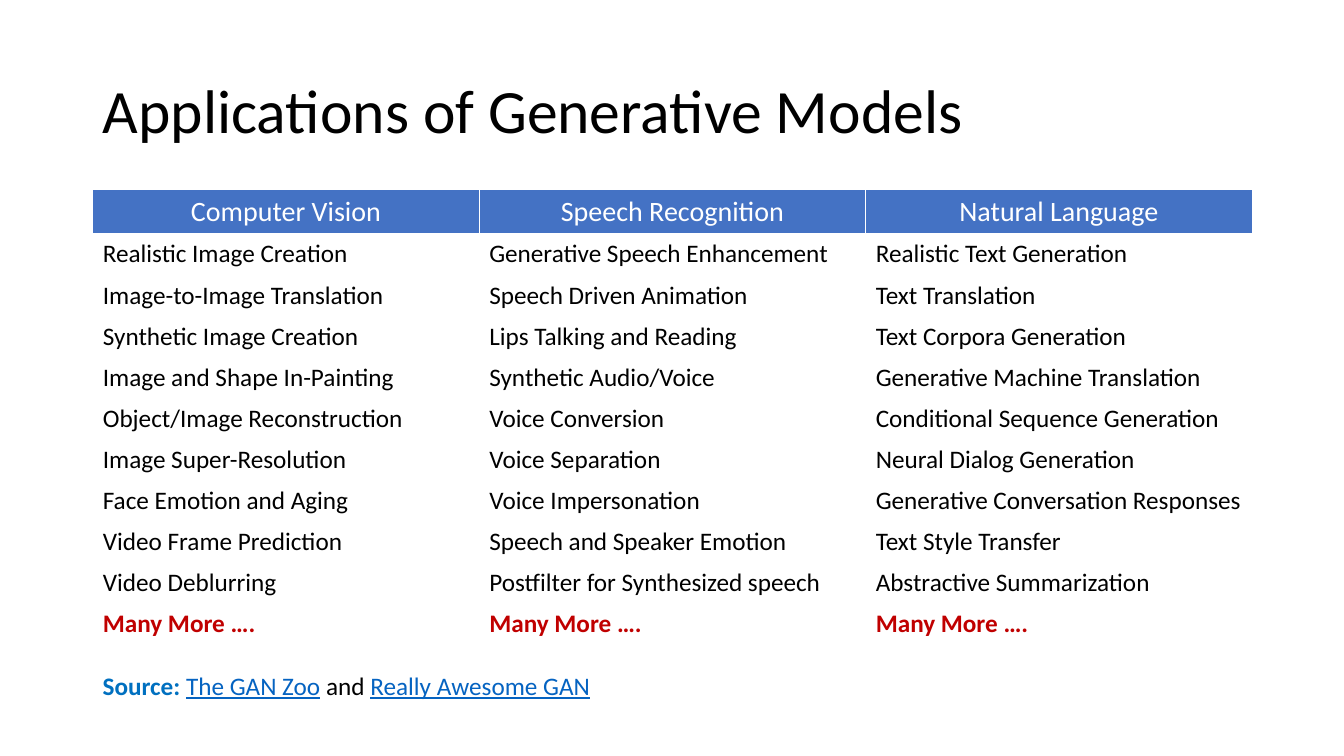
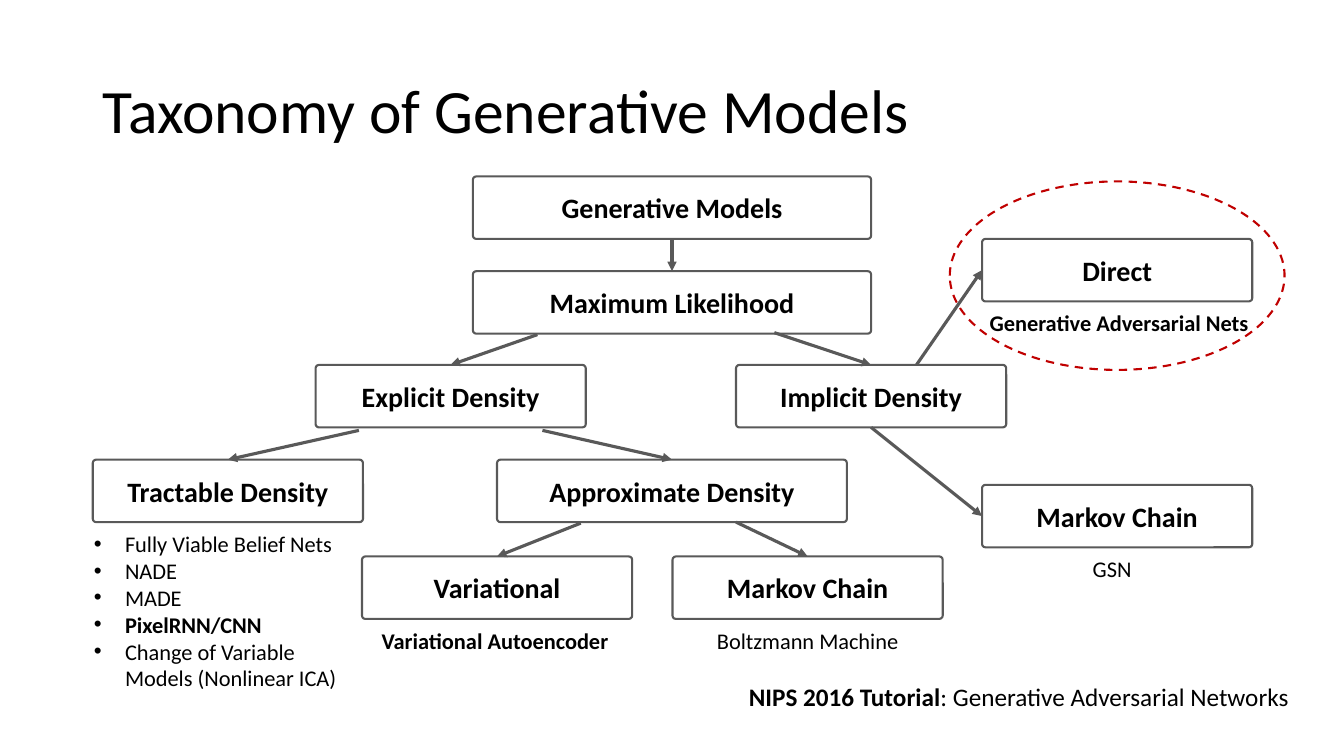
from dataclasses import dataclass

from lxml import etree
from pptx import Presentation
from pptx import util as u
from pptx.dml.color import RGBColor
from pptx.enum import dml, shapes, text
from pptx.oxml.ns import qn


@dataclass(frozen=True)
class Theme:
    """Colours, type face and type sizes shared by all slides."""
    face: str = "Calibri"
    ink: str = "000000"
    paper: str = "FFFFFF"
    band: str = "4472C4"
    edge: str = "595959"
    red: str = "C00000"
    blue: str = "0070C0"
    link: str = "0563C1"
    title: int = 44
    head: int = 20
    body: int = 18
    small: int = 16


THEME = Theme()
LEFT, MID, RIGHT = (text.PP_ALIGN.LEFT, text.PP_ALIGN.CENTER,
                    text.PP_ALIGN.RIGHT)


def rgb(code):
    """Turn a hex code into a colour."""
    return RGBColor.from_string(code)


def put(item, **vals):
    """Set each named value on an item."""
    for name, val in vals.items():
        setattr(item, name, val)


def place(shape, left, top, width, height):
    """Move and size a shape in inches."""
    put(shape, left=u.Inches(left), top=u.Inches(top),
        width=u.Inches(width), height=u.Inches(height))


class Deck:
    """Hold the style and the current slide, and draw its elements."""

    def __init__(self, theme):
        """Start an empty wide deck."""
        self.theme = theme
        self.prs = Presentation()
        put(self.prs, slide_width=u.Inches(13.33),
            slide_height=u.Inches(7.5))

    def page(self, title, layout):
        """Add a slide with its title."""
        self.slide = self.prs.slides.add_slide(self.prs.slide_layouts[layout])
        head = self.slide.shapes.title
        place(head, 0.92, 0.4, 11.5, 1.45)
        put(head.text_frame, vertical_anchor=text.MSO_ANCHOR.MIDDLE,
            auto_size=text.MSO_AUTO_SIZE.NONE)
        para = head.text_frame.paragraphs[0]
        self.say(para, [(title, {})], self.theme.title)
        para.line_spacing = 0.9

    def say(self, para, runs, size, align=LEFT):
        """Fill a paragraph with runs of text."""
        para.alignment = align
        for words, style in runs:
            run = para.add_run()
            run.text = words
            look = {"name": self.theme.face, "size": u.Pt(size),
                    "bold": False, **style}
            run.font.color.rgb = rgb(look.pop("ink", self.theme.ink))
            put(run.font, **look)

    def label(self, spot, runs, size, align=LEFT):
        """Add a text box."""
        box = self.slide.shapes.add_textbox(*map(u.Inches, spot))
        box.text_frame.word_wrap = True
        self.say(box.text_frame.paragraphs[0], runs, size, align)

    def form(self, kind, spot, edge):
        """Add an outlined white shape."""
        shape = self.slide.shapes.add_shape(kind, *map(u.Inches, spot))
        shape.shadow.inherit = False
        shape.fill.solid()
        shape.fill.fore_color.rgb = rgb(self.theme.paper)
        shape.line.color.rgb = rgb(edge)
        shape.line.width = u.Pt(1.5)
        return shape

    def ring(self, spot):
        """Add a dashed ellipse."""
        oval = self.form(shapes.MSO_SHAPE.OVAL, spot, self.theme.red)
        oval.line.dash_style = dml.MSO_LINE.DASH

    def node(self, spot, words):
        """Add a box of the tree."""
        box = self.form(shapes.MSO_SHAPE.ROUNDED_RECTANGLE, spot,
                        self.theme.edge)
        box.adjustments[0] = 0.054
        box.text_frame.vertical_anchor = text.MSO_ANCHOR.MIDDLE
        self.say(box.text_frame.paragraphs[0], [(words, {"bold": True})],
                 self.theme.head, MID)
        return box

    def arrow(self, start, goal, side):
        """Join a point, or a box's bottom, to a side of the goal box."""
        free = isinstance(start, tuple)
        spot = map(u.Inches, start if free else (0, 0))
        line = self.slide.shapes.add_connector(
            shapes.MSO_CONNECTOR.STRAIGHT, *spot, 0, 0)
        if not free:
            line.begin_connect(start, 2)
        line.end_connect(goal, side)
        line.line.color.rgb = rgb(self.theme.edge)
        line.line.width = u.Pt(2.25)
        props = line.element.spPr
        etree.SubElement(props.find(qn("a:ln")), qn("a:tailEnd"),
                         type="triangle")
        etree.SubElement(props, qn("a:effectLst"))

    def grid(self, spot, heads, rows):
        """Add a table with a filled head row."""
        data = [heads, *rows]
        table = self.slide.shapes.add_table(
            len(data), len(heads), *map(u.Inches, spot)).table
        for r, row in enumerate(data):
            for c, words in enumerate(row):
                cell = table.cell(r, c)
                cell.fill.solid()
                cell.fill.fore_color.rgb = rgb(
                    self.theme.paper if r else self.theme.band)
                style, size, align = {}, self.theme.body, LEFT
                if r == 0:
                    style = {"ink": self.theme.paper}
                    size, align = self.theme.head, MID
                elif r == len(rows):
                    style = {"ink": self.theme.red, "bold": True}
                self.say(cell.text_frame.paragraphs[0], [(words, style)],
                         size, align)

    def bullets(self, spot, items):
        """Fill the body placeholder with a list."""
        body = self.slide.placeholders[1]
        place(body, *spot)
        frame = body.text_frame
        put(frame, word_wrap=True, auto_size=text.MSO_AUTO_SIZE.NONE)
        for i, (words, bold) in enumerate(items):
            para = frame.add_paragraph() if i else frame.paragraphs[0]
            props = para._p.get_or_add_pPr()
            props.set("marL", str(u.Inches(0.31)))
            props.set("indent", str(-u.Inches(0.31)))
            etree.SubElement(props, qn("a:buFont"), typeface="Arial")
            etree.SubElement(props, qn("a:buChar"), char="•")
            para.space_before = u.Pt(0)
            self.say(para, [(words, {"bold": bold})], self.theme.small)


HEADS = ("Computer Vision", "Speech Recognition", "Natural Language")
ROWS = (
    ("Realistic Image Creation", "Generative Speech Enhancement",
     "Realistic Text Generation"),
    ("Image-to-Image Translation", "Speech Driven Animation",
     "Text Translation"),
    ("Synthetic Image Creation", "Lips Talking and Reading",
     "Text Corpora Generation"),
    ("Image and Shape In-Painting", "Synthetic Audio/Voice",
     "Generative Machine Translation"),
    ("Object/Image Reconstruction", "Voice Conversion",
     "Conditional Sequence Generation"),
    ("Image Super-Resolution", "Voice Separation",
     "Neural Dialog Generation"),
    ("Face Emotion and Aging", "Voice Impersonation",
     "Generative Conversation Responses"),
    ("Video Frame Prediction", "Speech and Speaker Emotion",
     "Text Style Transfer"),
    ("Video Deblurring", "Postfilter for Synthesized speech",
     "Abstractive Summarization"),
    ("Many More ….",) * 3,
)

WIDE, SLIM, TALL = 3.95, 2.68, 0.62
NODES = {
    "root": (4.69, 1.75, WIDE, "Generative Models"),
    "max": (4.69, 2.69, WIDE, "Maximum Likelihood"),
    "known": (3.13, 3.62, SLIM, "Explicit Density"),
    "tacit": (7.3, 3.62, SLIM, "Implicit Density"),
    "direct": (9.74, 2.37, SLIM, "Direct"),
    "exact": (0.92, 4.56, SLIM, "Tractable Density"),
    "approx": (4.93, 4.56, 3.47, "Approximate Density"),
    "vary": (3.59, 5.52, SLIM, "Variational"),
    "chain": (6.67, 5.52, SLIM, "Markov Chain"),
    "walk": (9.74, 4.81, SLIM, "Markov Chain"),
}
ARROWS = (
    ("root", "max", 0),
    ((5.33, 3.32), "known", 0),
    ((7.68, 3.3), "tacit", 0),
    ((3.56, 4.27), "exact", 0),
    ((5.38, 4.27), "approx", 0),
    ("tacit", "walk", 1),
    ((9.09, 3.62), "direct", 1),
    ((5.76, 5.19), "vary", 0),
    ((7.3, 5.18), "chain", 0),
)
NOTES = (
    ("direct", "Generative Adversarial Nets", True, 0.02),
    ("walk", "GSN", False, -0.05),
    ("chain", "Boltzmann Machine", False, 0),
    ("vary", "Variational Autoencoder", True, -0.02),
)
NETS = (
    ("Fully Viable Belief Nets", False),
    ("NADE", False),
    ("MADE", False),
    ("PixelRNN/CNN", True),
    ("Change of Variable Models (Nonlinear ICA)", False),
)


def uses(deck):
    """Draw the table of uses."""
    deck.page("Applications of Generative Models", 5)
    deck.grid((0.92, 1.88, 11.5, 4.49), HEADS, ROWS)
    link = {"ink": THEME.link, "underline": True}
    deck.label((0.92, 6.6, 5.5, 0.4), [
        ("Source: ", {"ink": THEME.blue, "bold": True}),
        ("The GAN Zoo", link), (" and ", {}), ("Really Awesome GAN", link),
    ], THEME.body)


def tree(deck):
    """Draw the tree of model types."""
    deck.page("Taxonomy of Generative Models", 1)
    deck.ring((9.42, 1.8, 3.32, 1.87))
    boxes = {key: deck.node((left, top, width, TALL), words)
             for key, (left, top, width, words) in NODES.items()}
    for start, goal, side in ARROWS:
        deck.arrow(boxes.get(start, start), boxes[goal], side)
    for key, words, bold, shift in NOTES:
        left, top, width, _ = NODES[key]
        deck.label((left - 0.1 + shift, top + TALL + 0.03, width + 0.2, 0.37),
                   [(words, {"bold": bold})], THEME.small, MID)
    deck.bullets((0.83, 5.21, 2.7, 2.02), NETS)
    deck.label((6.88, 6.71, 6, 0.4), [
        ("NIPS 2016 Tutorial", {"bold": True}),
        (": Generative Adversarial Networks", {}),
    ], THEME.body, RIGHT)


def main():
    """Build and save the deck."""
    deck = Deck(THEME)
    uses(deck)
    tree(deck)
    deck.prs.save("out.pptx")


if __name__ == "__main__":
    main()
